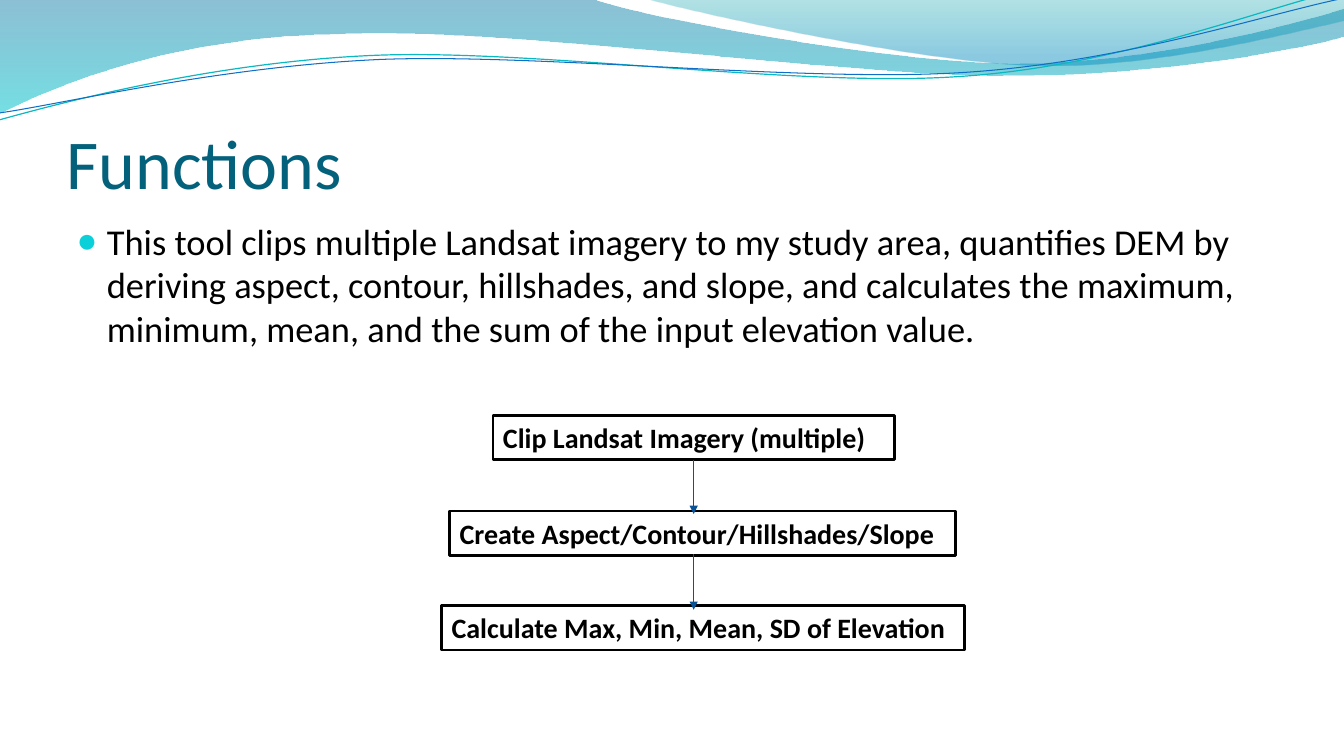
"""Build the Functions slide: wave banner, summary bullet and a three-step flow."""
from lxml.etree import SubElement
from pptx import Presentation
from pptx.dml.color import RGBColor
from pptx.enum.shapes import MSO_CONNECTOR, MSO_SHAPE
from pptx.enum.text import MSO_ANCHOR, MSO_AUTO_SIZE, PP_ALIGN
from pptx.oxml.ns import qn
from pptx.util import Inches, Pt

COLORS = {"title": "04617B", "text": "000000", "box": "FFFFFF", "bullet": "0BD0D9", "arrow": "095295"}


def add_wave(shapes, start, segments, close):
    """Draw an outline whose segments are lines (2 numbers) or cubic curves (6 numbers)."""
    builder = shapes.build_freeform(Inches(start[0]), Inches(start[1]), scale=1.0)
    for segment in segments:
        lengths = [Inches(number) for number in segment]
        builder.add_line_segments(list(zip(lengths[::2], lengths[1::2])), close=False)
    if close:
        builder.add_line_segments([], close=True)
    wave = builder.convert_to_shape()
    wave.shadow.inherit = False
    lines = iter(list(wave.element.iter(qn("a:lnTo"))))
    for segment in segments:
        curve = next(lines)
        if len(segment) == 6:
            curve.tag = qn("a:cubicBezTo")
            for _ in range(2):
                line = next(lines)
                curve.append(line[0])
                line.getparent().remove(line)
    return wave


def write_text(shape, text, frame_format, font_format, color):
    """Put one formatted paragraph into a shape."""
    frame = shape.text_frame
    frame.text = text
    for name, value in frame_format.items():
        setattr(frame, name, value)
    paragraph = frame.paragraphs[0]
    paragraph.alignment = PP_ALIGN.LEFT
    paragraph.space_before = Pt(0)
    for name, value in font_format.items():
        setattr(paragraph.runs[0].font, name, value)
    paragraph.runs[0].font.color.rgb = RGBColor.from_string(color)
    return paragraph


prs = Presentation()
prs.slide_width, prs.slide_height = Inches(13.33), Inches(7.5)
slide = prs.slides.add_slide(prs.slide_layouts[1])
shapes = slide.shapes

bands = [
    ((0, 0),
     [(5.87, -0.01), (6.34, 0.17, 8.85, 0.63, 10.11, 0.63), (11.38, 0.63, 12.78, 0.26, 13.33, 0.09),
      (13.35, 0.36), (13.11, 0.44, 11.6, 0.76, 9.94, 0.75),
      (8.29, 0.75, 5.09, 0.28, 3.43, 0.34), (1.72, 0.36, 0.61, 0.83, -0.01, 1.13), (0, 0)],
     [(0, "0074A1", 45), (1, "00C6CF", 55)]),
    ((6.39, -0.01),
     [(6.79, 0.11, 9.09, 0.62, 10.25, 0.65), (11.41, 0.69, 12.82, 0.32, 13.33, 0.21),
      (13.33, 0), (6.39, -0.01)],
     [(0, "00A1A9", 30), (0.8, "008BBF", 45)]),
]
for start, segments, stops in bands:
    band = add_wave(shapes, start, segments, True)
    band.line.fill.background()
    band.fill.gradient()
    band.fill.gradient_angle = 270
    for stop, (position, color, opacity) in zip(band.fill.gradient_stops, stops):
        stop.position = position
        stop.color.rgb = RGBColor.from_string(color)
    for tint, (_, _, opacity) in zip(band.element.spPr.iter(qn("a:srgbClr")), stops):
        SubElement(tint, qn("a:alpha"), val=str(opacity * 1000))

strands = [
    ((-0.01, 1.19),
     [(0.64, 1.01, 2.11, 0.62, 3.69, 0.55), (5.27, 0.48, 7.9, 0.87, 9.5, 0.76),
      (11.1, 0.66, 12.52, 0.08, 13.31, -0.1)], "0AB8BF", 0.85),
    ((0, 1.12),
     [(0.63, 1.03, 2.18, 0.66, 3.78, 0.59), (5.37, 0.53, 7.96, 0.82, 9.55, 0.72),
      (11.15, 0.62, 12.55, 0.14, 13.34, -0.02)], "0F6FC6", 0.75),
]
for start, segments, color, width in strands:
    strand = add_wave(shapes, start, segments, False)
    strand.fill.background()
    strand.line.color.rgb = RGBColor.from_string(color)
    strand.line.width = Pt(width)

title, summary = shapes.title, slide.placeholders[1]
for placeholder, top, height in ((title, 0.77, 1.25), (summary, 2.12, 4.8)):
    placeholder.left, placeholder.top = Inches(0.66), Inches(top)
    placeholder.width, placeholder.height = Inches(12), Inches(height)
    shapes.element.append(placeholder.element)

write_text(title, "Functions",
           {"vertical_anchor": MSO_ANCHOR.BOTTOM, "auto_size": MSO_AUTO_SIZE.NONE, "margin_left": 0,
            "margin_right": 0, "margin_top": Inches(0.05), "margin_bottom": 0},
           {"name": "Calibri", "size": Pt(50)}, COLORS["title"])

bullet = write_text(
    summary,
    "This tool clips multiple Landsat imagery to my study area, quantifies DEM by deriving aspect, "
    "contour, hillshades, and slope, and calculates the maximum, minimum, mean, and the sum of the "
    "input elevation value.",
    {"vertical_anchor": MSO_ANCHOR.TOP, "auto_size": MSO_AUTO_SIZE.NONE},
    {"name": "Calibri", "size": Pt(26)}, COLORS["text"])
bullet_format = bullet._p.get_or_add_pPr()
bullet_format.set("marL", str(Inches(0.3)))
bullet_format.set("indent", str(Inches(-0.3)))
SubElement(SubElement(bullet_format, qn("a:buClr")), qn("a:srgbClr"), val=COLORS["bullet"])
SubElement(bullet_format, qn("a:buSzPct"), val="95000")
SubElement(bullet_format, qn("a:buChar"), char="●")

steps = [
    ("Clip Landsat Imagery (multiple)", 4.89, 4.12, 3.98),
    ("Create Aspect/Contour/Hillshades/Slope", 4.46, 5.07, 5.02),
    ("Calculate Max, Min, Mean, SD of Elevation", 4.38, 6.01, 5.19),
]
step_boxes = []
for label, left, top, width in steps:
    step_box = shapes.add_shape(MSO_SHAPE.RECTANGLE, Inches(left), Inches(top),
                                Inches(width), Inches(0.44))
    step_box.shadow.inherit = False
    step_box.fill.solid()
    step_box.fill.fore_color.rgb = RGBColor.from_string(COLORS["box"])
    step_box.line.color.rgb = RGBColor.from_string(COLORS["text"])
    step_box.line.width = Pt(2)
    write_text(step_box, label,
               {"vertical_anchor": MSO_ANCHOR.TOP, "word_wrap": True,
                "auto_size": MSO_AUTO_SIZE.SHAPE_TO_FIT_TEXT},
               {"name": "Calibri", "size": Pt(20), "bold": True}, COLORS["text"])
    step_boxes.append(step_box)

arrows = []
for top, bottom in ((5.5, 6.05), (4.56, 5.1)):
    arrow = shapes.add_connector(MSO_CONNECTOR.STRAIGHT, Inches(6.88), Inches(top),
                                 Inches(6.88), Inches(bottom))
    arrow.line.color.rgb = RGBColor.from_string(COLORS["arrow"])
    arrow.line.width = Pt(0.75)
    SubElement(arrow.line._get_or_add_ln(), qn("a:tailEnd"), type="triangle")
    SubElement(arrow.element.spPr, qn("a:effectLst"))
    arrows.append(arrow)
arrows[1].begin_connect(step_boxes[0], 2)

prs.save("out.pptx")
